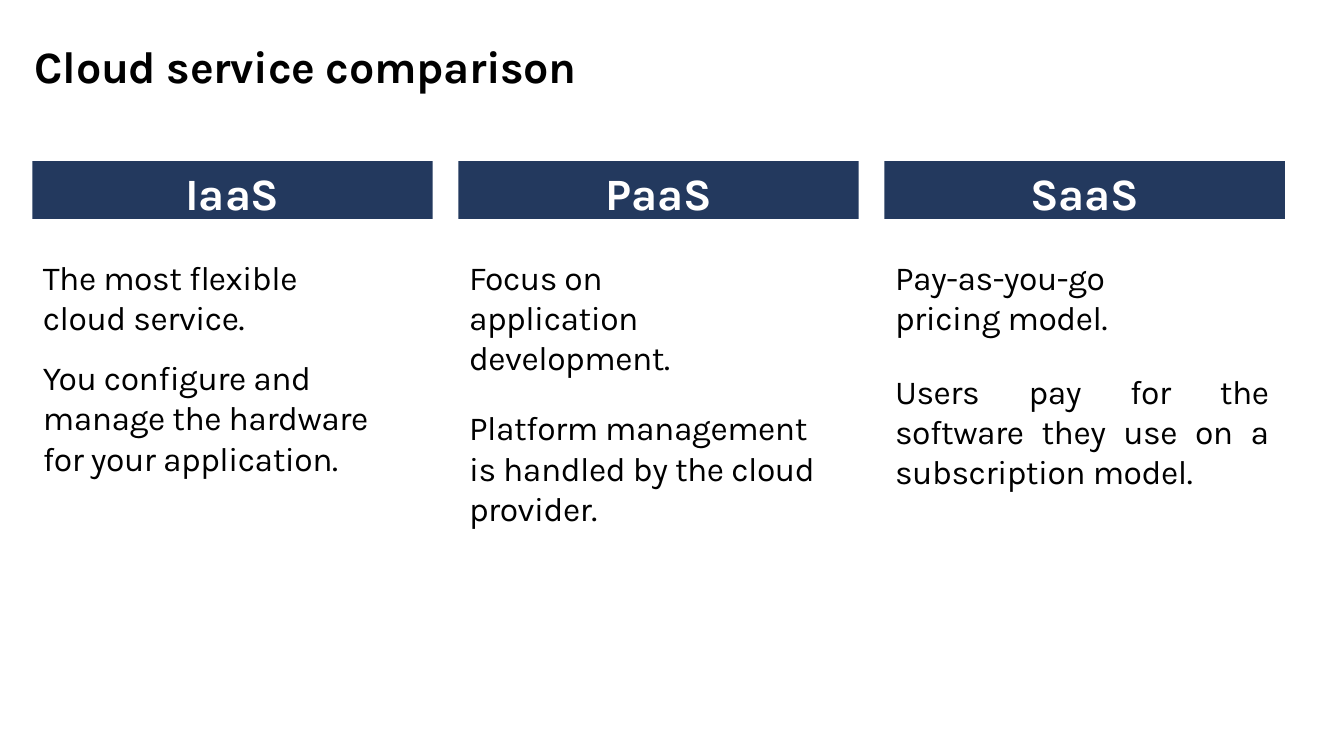
from dataclasses import dataclass

from pptx import Presentation
from pptx.dml.color import RGBColor
from pptx.enum.shapes import MSO_SHAPE
from pptx.enum.text import MSO_ANCHOR, PP_ALIGN as Align
from pptx.slide import Slide
from pptx.text.text import TextFrame
from pptx.util import Inches, Pt


@dataclass(frozen=True)
class Theme:
    font: str = "Karla"
    heading_size: int = 24
    body_size: int = 18
    ink: RGBColor = RGBColor(0x00, 0x00, 0x00)
    paper: RGBColor = RGBColor(0xFF, 0xFF, 0xFF)
    navy: RGBColor = RGBColor(0x23, 0x39, 0x5E)


@dataclass(frozen=True)
class Service:
    name: str
    summary: str
    detail: str
    body_width: float
    body_height: float
    detail_gap: float
    detail_align: Align = Align.LEFT


THEME = Theme()
SLIDE_WIDTH = 10
SLIDE_HEIGHT = SLIDE_WIDTH * 9 / 16
COLUMN_LEFT, COLUMN_PITCH, COLUMN_WIDTH = 0.24, 3.17, 2.98
BANNER_TOP, BANNER_HEIGHT = 1.2, 0.43
BODY_TOP, BODY_OFFSET = 1.9, 0.07
SUMMARY_RIGHT_MARGIN = 0.6

SERVICES = [
    Service("IaaS", "The most flexible cloud service.",
            "You configure and manage the hardware for your application.",
            2.7, 1.67, 10.5),
    Service("PaaS", "Focus on application development.",
            "Platform management is handled by the cloud provider.",
            2.62, 1.75, 15.8),
    Service("SaaS", "Pay-as-you-go pricing model.",
            "Users pay for the software they use on a subscription model.",
            2.79, 1.78, 17.9, Align.JUSTIFY),
]


def prepare_frame(frame: TextFrame, top_inset: float) -> None:
    frame.word_wrap = True
    frame.vertical_anchor = MSO_ANCHOR.TOP
    frame.margin_left = frame.margin_right = frame.margin_bottom = 0
    frame.margin_top = Inches(top_inset)


def write_paragraph(paragraph, text: str, size: int, color: RGBColor, tracking: float,
                    bold: bool = False, align: Align = Align.LEFT,
                    indent: float = 0.01, right_margin: float = 0) -> None:
    run = paragraph.add_run()
    run.text = text
    run.font._element.set("spc", str(round(tracking * 100)))
    paragraph.alignment = align
    properties = paragraph._p.get_or_add_pPr()
    properties.set("marL", str(Inches(indent)))
    properties.set("marR", str(Inches(right_margin)))
    font = paragraph.font
    font.name, font.size, font.bold = THEME.font, Pt(size), bold
    font.color.rgb = color


def add_title(slide: Slide, text: str) -> None:
    box = slide.shapes.add_textbox(Inches(0.25), Inches(0.28), Inches(6.72), Inches(0.41))
    prepare_frame(box.text_frame, 0.01)
    write_paragraph(box.text_frame.paragraphs[0], text, THEME.heading_size,
                    THEME.ink, -0.2, bold=True)


def add_banner(slide: Slide, name: str, left: float) -> None:
    banner = slide.shapes.add_shape(MSO_SHAPE.RECTANGLE, Inches(left), Inches(BANNER_TOP),
                                    Inches(COLUMN_WIDTH), Inches(BANNER_HEIGHT))
    banner.shadow.inherit = False
    banner.fill.solid()
    banner.fill.fore_color.rgb = THEME.navy
    banner.line.fill.background()
    prepare_frame(banner.text_frame, 0.03)
    write_paragraph(banner.text_frame.paragraphs[0], name, THEME.heading_size,
                    THEME.paper, -0.1, bold=True, align=Align.CENTER, indent=0)


def add_service(slide: Slide, service: Service, left: float) -> None:
    add_banner(slide, service.name, left)
    box = slide.shapes.add_textbox(Inches(left + BODY_OFFSET), Inches(BODY_TOP),
                                   Inches(service.body_width), Inches(service.body_height))
    frame = box.text_frame
    prepare_frame(frame, 0.01)
    write_paragraph(frame.paragraphs[0], service.summary, THEME.body_size, THEME.ink,
                    -0.25, right_margin=SUMMARY_RIGHT_MARGIN)
    detail = frame.add_paragraph()
    detail.space_before = Pt(service.detail_gap)
    write_paragraph(detail, service.detail, THEME.body_size, THEME.ink, -0.25,
                    align=service.detail_align)


def main() -> None:
    presentation = Presentation()
    presentation.slide_width = Inches(SLIDE_WIDTH)
    presentation.slide_height = Inches(SLIDE_HEIGHT)
    slide = presentation.slides.add_slide(presentation.slide_layouts[6])

    # Heading
    add_title(slide, "Cloud service comparison")

    # One column per service model
    for index, service in enumerate(SERVICES):
        add_service(slide, service, COLUMN_LEFT + index * COLUMN_PITCH)

    presentation.save("out.pptx")


if __name__ == "__main__":
    main()
